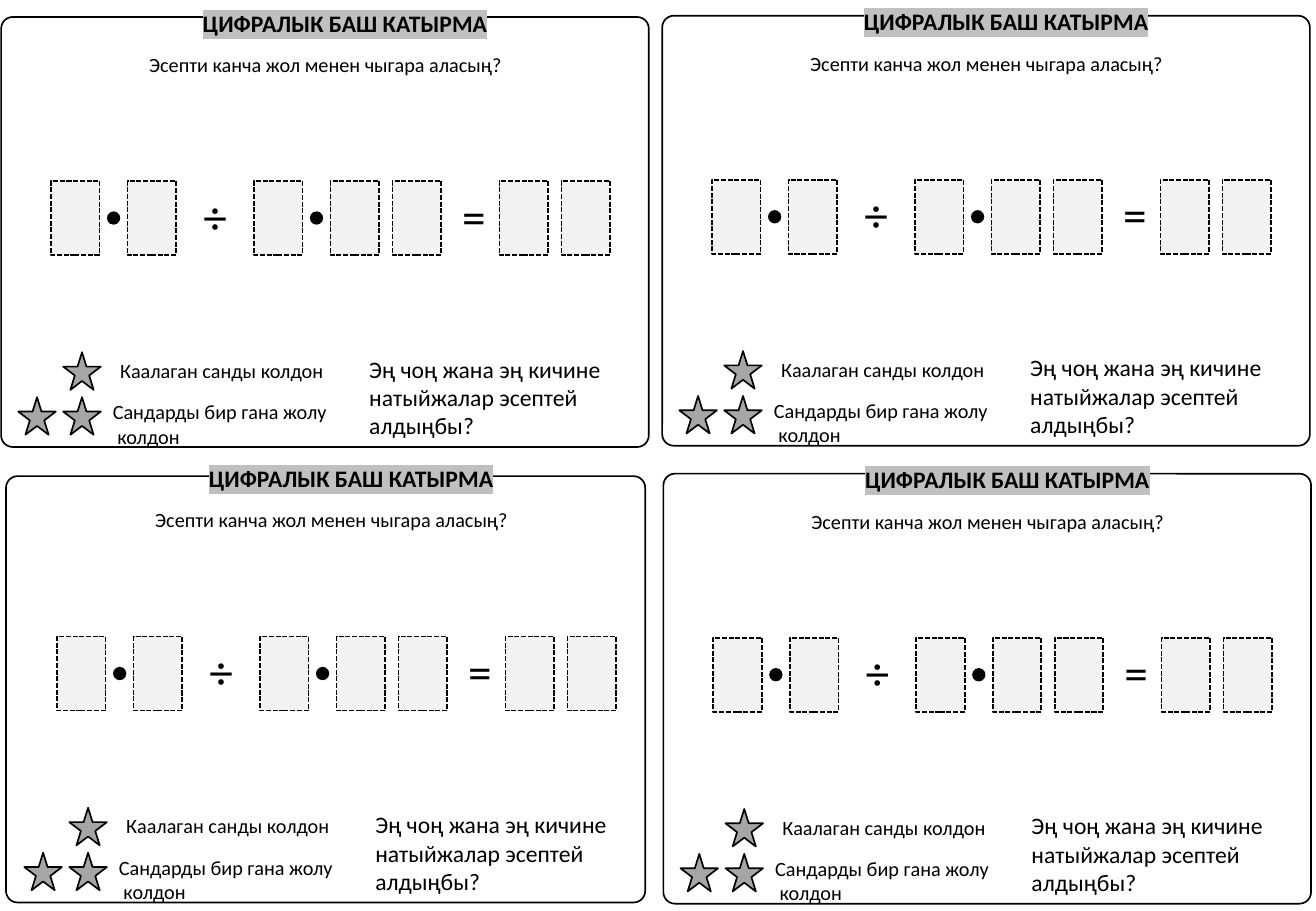
import pptx
import pptx.dml.color
import pptx.enum.dml
import pptx.enum.shapes
import pptx.enum.text
import pptx.oxml
import pptx.oxml.ns
import pptx.util
from pptx.util import Inches

BLACK = pptx.dml.color.RGBColor(0x00, 0x00, 0x00)
WHITE = pptx.dml.color.RGBColor(0xFF, 0xFF, 0xFF)
CELL_GREY = pptx.dml.color.RGBColor(0xF2, 0xF2, 0xF2)
STAR_GREY = pptx.dml.color.RGBColor(0xA6, 0xA6, 0xA6)
TITLE_GREY = pptx.dml.color.RGBColor(0xC0, 0xC0, 0xC0)

KINDS = pptx.enum.shapes.MSO_SHAPE
CENTER = pptx.enum.text.PP_ALIGN.CENTER
LEFT = pptx.enum.text.PP_ALIGN.LEFT

FRAME = (0.01, 0.14, 5.33, 3.54)
CARDS = (
    (0, 0, FRAME),
    (5.44, -0.01, FRAME),
    (0.05, 3.75, (0, 0.17, 5.26, 3.51)),
    (5.45, 3.76, FRAME),
)
NUMBERS = ((0.42, 1), (2.09, 2))
RESULT_X = 4.11
CELL_PITCH = 0.51
CELL_TOP = 1.49
STARS = ((0.52, 2.9), (0.52, 3.27), (0.15, 3.27))


def add_figure(slide, kind, x, y, width, height, fill=None, line=None):
    figure = slide.shapes.add_shape(
        kind, Inches(x), Inches(y), Inches(width), Inches(height))
    figure.shadow.inherit = False
    if fill is None:
        figure.fill.background()
    else:
        figure.fill.solid()
        figure.fill.fore_color.rgb = fill
    if line is None:
        figure.line.fill.background()
    else:
        figure.line.color.rgb = line
        figure.line.width = pptx.util.Pt(1)
    return figure


def fill_text(frame, lines, size, align=LEFT, wrap=False):
    frame.word_wrap = wrap
    frame.auto_size = pptx.enum.text.MSO_AUTO_SIZE.SHAPE_TO_FIT_TEXT
    frame.vertical_anchor = pptx.enum.text.MSO_ANCHOR.TOP
    for index, line in enumerate(lines):
        paragraph = frame.add_paragraph() if index else frame.paragraphs[0]
        paragraph.alignment = align
        run = paragraph.add_run()
        run.text = line
        run.font.size = pptx.util.Pt(size)
        run.font.name = "Calibri"
        run.font.color.rgb = BLACK


def add_label(slide, x, y, width, height, lines, size, align=LEFT, wrap=False):
    label = slide.shapes.add_textbox(
        Inches(x), Inches(y), Inches(width), Inches(height))
    fill_text(label.text_frame, lines, size, align, wrap)


def set_heading(heading, x, y):
    heading.left, heading.top = Inches(x), Inches(y)
    heading.width, heading.height = Inches(2.56), Inches(0.47)
    frame = heading.text_frame
    frame.margin_left = frame.margin_right = Inches(0.1)
    frame.margin_top = frame.margin_bottom = 0
    fill_text(frame, ["ЦИФРАЛЫК БАШ КАТЫРМА"], 14, CENTER)
    font = frame.paragraphs[0].runs[0].font
    font.bold = True
    highlight = pptx.oxml.parse_xml(
        f'<a:highlight {pptx.oxml.ns.nsdecls("a")}>'
        f'<a:srgbClr val="{TITLE_GREY}"/></a:highlight>')
    run_properties = frame.paragraphs[0].runs[0].font.fill._xPr
    run_properties.find(pptx.oxml.ns.qn("a:solidFill")).addnext(highlight)


def add_cells(slide, x, y, count):
    for index in range(count):
        cell = add_figure(slide, KINDS.RECTANGLE, x + index * CELL_PITCH, y,
                          0.4, 0.61, CELL_GREY, BLACK)
        cell.line.dash_style = pptx.enum.dml.MSO_LINE.SQUARE_DOT


def add_decimal(slide, x, y, decimals):
    add_cells(slide, x, y, 1)
    add_figure(slide, KINDS.OVAL, x + 0.46, y + 0.25, 0.11, 0.11, BLACK)
    add_cells(slide, x + 0.63, y, decimals)


def add_heading(slide, frame, x, y, is_first):
    if is_first:
        heading = slide.shapes.title
        frame.element.addnext(heading.element)
    else:
        add_figure(slide, KINDS.RECTANGLE, x + 2.05, y + 0.06, 1.25, 0.17, WHITE)
        heading = slide.shapes.add_textbox(0, 0, 0, 0)
    set_heading(heading, x + 1.56, y + 0.07)


def add_card(slide, x, y, frame_box, is_first):
    left, top, width, height = frame_box
    frame = add_figure(slide, KINDS.ROUNDED_RECTANGLE, x + left, y + top,
                       width, height, line=BLACK)
    frame.adjustments[0] = 0.027
    add_heading(slide, frame, x, y, is_first)
    add_label(slide, x + 1.11, y + 0.38, 3.14, 0.3,
              ["Эсепти канча жол менен чыгара аласың?"], 12, CENTER)

    for sign, sign_x in (("÷", 1.57), ("=", 3.7)):
        add_label(slide, x + sign_x, y + CELL_TOP, 0.4, 0.57, [sign], 28, CENTER)
    for number_x, decimals in NUMBERS:
        add_decimal(slide, x + number_x, y + CELL_TOP, decimals)
    add_cells(slide, x + RESULT_X, y + CELL_TOP, 2)

    for star_x, star_y in STARS:
        add_figure(slide, KINDS.STAR_5_POINT, x + star_x, y + star_y,
                   0.31, 0.31, STAR_GREY, BLACK)
    add_label(slide, x + 0.89, y + 2.9, 1.89, 0.3, ["Каалаган санды колдон"], 12)
    add_label(slide, x + 0.83, y + 3.24, 1.98, 0.5,
              ["Сандарды бир гана жолу", " колдон"], 12)
    add_label(slide, x + 2.94, y + 2.87, 2.25, 0.81,
              ["Эң чоң жана эң кичине", "натыйжалар эсептей", "алдыңбы?"],
              14, wrap=True)


def main():
    presentation = pptx.Presentation()
    presentation.slide_width = Inches(10.83)
    presentation.slide_height = Inches(7.5)
    slide = presentation.slides.add_slide(presentation.slide_layouts[5])
    for index, (x, y, frame_box) in enumerate(CARDS):
        add_card(slide, x, y, frame_box, index == 0)
    presentation.save("out.pptx")


if __name__ == "__main__":
    main()
